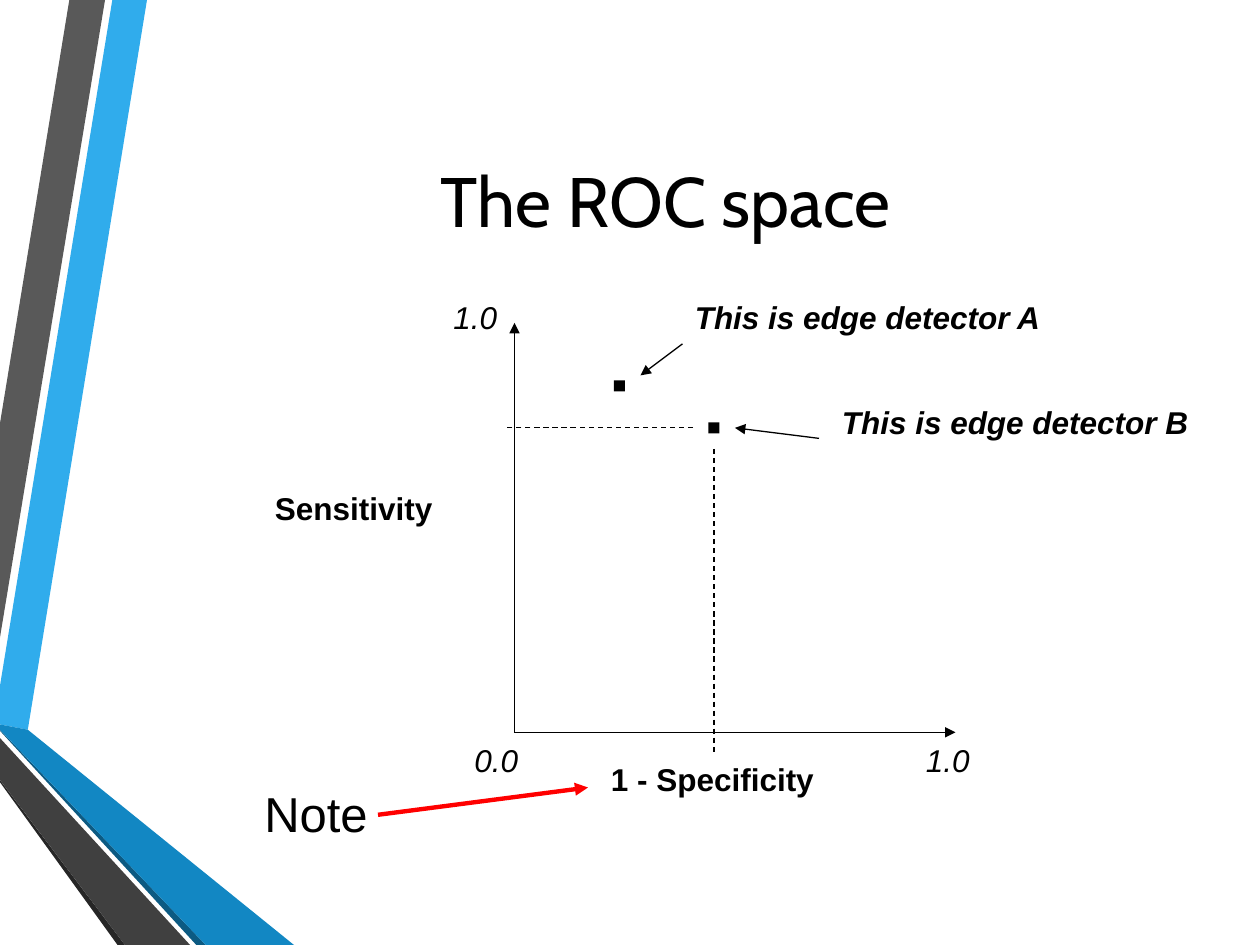
from lxml import etree
from pptx import Presentation
from pptx.dml.color import RGBColor
from pptx.enum.dml import MSO_LINE
from pptx.enum.shapes import MSO_CONNECTOR, MSO_SHAPE
from pptx.enum.text import MSO_ANCHOR, PP_ALIGN
from pptx.oxml.ns import qn
from pptx.util import Inches, Pt

STRAIGHT = MSO_CONNECTOR.STRAIGHT
RECT = MSO_SHAPE.RECTANGLE
DASH = MSO_LINE.DASH
MIDDLE, TOP = MSO_ANCHOR.MIDDLE, MSO_ANCHOR.TOP
CENTER, LEFT = PP_ALIGN.CENTER, PP_ALIGN.LEFT

BLACK = RGBColor(0x00, 0x00, 0x00)
RED = RGBColor(0xFF, 0x00, 0x00)
SKY = RGBColor(0x30, 0xAC, 0xEC)
BLUE = RGBColor(0x12, 0x87, 0xC3)
NAVY = RGBColor(0x0C, 0x5A, 0x82)
GREY = RGBColor(0x59, 0x59, 0x59)
DARK = RGBColor(0x40, 0x40, 0x40)
COAL = RGBColor(0x26, 0x26, 0x26)

COLS, ROWS = 120, 90
CELL = Inches(10) // COLS

RIBBONS = [
    (SKY, [(0, 65.3), (0, 69), (2.65, 69.5), (14, 0), (10.7, 0)]),
    (GREY, [(10, 0), (6.6, 0), (0, 40.3), (0, 60.7)]),
    (COAL, [(0, 74.3), (0, 74.5), (11.2, 90), (11.9, 90)]),
    (NAVY, [(0, 69.5), (0, 69.6), (18.7, 90), (19.6, 90)]),
    (BLUE, [(0, 69.5), (19.6, 90), (28, 90), (2.65, 69.5), (0, 69)]),
    (DARK, [(0, 74.3), (11.9, 90), (18.1, 90), (0, 70.3)]),
]


def cells(*values):
    return [round(v * CELL) for v in values]


def add_text(s, box, text, size=18, font="Arial", bold=False, italic=False,
             align=LEFT, anchor=TOP, wrap=True):
    tf = s.shapes.add_textbox(*cells(*box)).text_frame
    tf.word_wrap = wrap
    tf.vertical_anchor = anchor
    p = tf.paragraphs[0]
    p.alignment = align
    r = p.add_run()
    r.text = text
    r.font.size = Pt(size)
    r.font.name = font
    r.font.bold = bold
    r.font.italic = italic
    r.font.color.rgb = BLACK


def add_line(s, start, end, color=BLACK, width=0.75, arrow=True):
    sp = s.shapes.add_connector(STRAIGHT, *cells(*start, *end))
    sp.line.color.rgb = color
    sp.line.width = Pt(width)
    if arrow:
        ln = sp.line._get_or_add_ln()
        etree.SubElement(ln, qn("a:tailEnd"), type="triangle")
    else:
        sp.line.dash_style = DASH
    etree.SubElement(sp._element.spPr, qn("a:effectLst"))


def add_ribbons(s, x, y):
    for color, points in RIBBONS:
        (x0, y0), *rest = [cells(x + px, y + py) for px, py in points]
        fb = s.shapes.build_freeform(x0, y0)
        fb.add_line_segments(rest, close=True)
        sp = fb.convert_to_shape()
        sp.shadow.inherit = False
        sp.fill.solid()
        sp.fill.fore_color.rgb = color
        sp.line.fill.background()


def add_title(s, box):
    add_text(s, box, "The ROC space", 40, "Cabin", align=CENTER, anchor=MIDDLE)


def add_roc_plot(s, x, y, w, h):
    def at(dx, dy):
        return x + dx, y + dy

    origin = at(0, h)
    add_line(s, origin, at(0, 0))
    add_line(s, origin, at(w, h))

    for text, dx, dy, width in [("1 - Specificity", 8, h + 2, 32),
                                ("Sensitivity", -24, 15.25, 23)]:
        add_text(s, (*at(dx, dy), width, 6), text, bold=True)

    for text, dx, dy in [("1.0", -7, -3), ("0.0", -5, h + 0.25),
                         ("1.0", w - 4, h + 0.25)]:
        add_text(s, (*at(dx, dy), 6.6, 4.8), text, italic=True, wrap=False)

    detectors = [("A", (10, 6), (16, -3), (16, 2), (12, 5)),
                 ("B", (19, 10), (30, 7), (29, 11), (21, 10))]
    side = 1.05
    for name, (px, py), label, start, end in detectors:
        add_text(s, (*at(*label), 37, 4.8), f"This is edge detector {name}",
                 bold=True, italic=True)
        add_line(s, at(*start), at(*end))
        box = cells(*at(px - side / 2, py - side / 2), side, side)
        sp = s.shapes.add_shape(RECT, *box)
        sp.shadow.inherit = False
        sp.fill.solid()
        sp.fill.fore_color.rgb = BLACK
        sp.line.fill.background()

    bx, by = detectors[-1][1]
    add_line(s, at(bx, by + 2), at(bx, h + 2), arrow=False)
    add_line(s, at(bx - 2, by), at(-1, by), arrow=False)


def add_note(s, x, y):
    add_line(s, (x + 12, y + 3.6), (x + 32, y + 1), RED, 2.5)
    add_text(s, (x, y, 19, 6.8), "Note", 28)


def main():
    prs = Presentation()
    prs.slide_width, prs.slide_height = cells(COLS, ROWS)
    s = prs.slides.add_slide(prs.slide_layouts[6])
    add_ribbons(s, 0, 0)
    add_title(s, (12.8, 6, 101.2, 26))
    add_roc_plot(s, 49, 30.75, 42, 39)
    add_note(s, 24, 74)
    prs.save("out.pptx")


if __name__ == "__main__":
    main()
